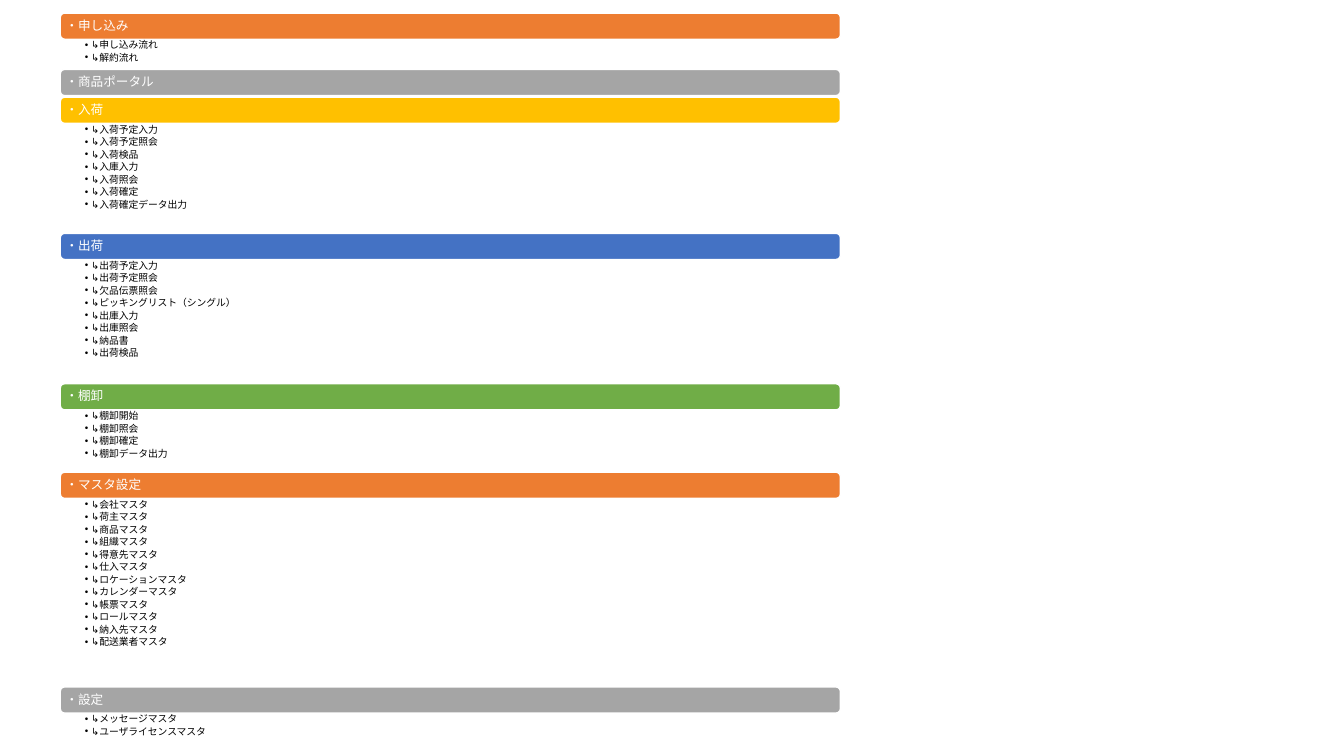
from dataclasses import dataclass
from lxml.etree import SubElement as Sub
from pptx import Presentation
from pptx.dml.color import RGBColor as Rgb
from pptx.enum.shapes import MSO_SHAPE as Kind
from pptx.enum.text import MSO_ANCHOR as Anchor, PP_ALIGN as Align
from pptx.oxml.ns import qn
from pptx.util import Cm, Pt


@dataclass(frozen=True)
class Theme:
    face: str = "Noto Sans CJK JP"
    head: int = 9
    item: int = 7
    line: float = 0.9
    white: str = "FFFFFF"
    black: str = "000000"
    orange: str = "ED7D31"
    gray: str = "A5A5A5"
    gold: str = "FFC000"
    blue: str = "4472C4"
    green: str = "70AD47"


look = Theme()
LEFT, TOP, WIDE, BAR = 1.52, 0.33, 19.66, 0.66

MENU = [
    ("申し込み", look.orange, 0.76, ["申し込み流れ", "解約流れ"]),
    ("商品ポータル", look.gray, 0.04, []),
    ("入荷", look.gold, 2.77, [
        "入荷予定入力", "入荷予定照会", "入荷検品", "入庫入力",
        "入荷照会", "入荷確定", "入荷確定データ出力"]),
    ("出荷", look.blue, 3.13, [
        "出荷予定入力", "出荷予定照会", "欠品伝票照会",
        "ピッキングリスト（シングル）", "出庫入力", "出庫照会",
        "納品書", "出荷検品"]),
    ("棚卸", look.green, 1.57, [
        "棚卸開始", "棚卸照会", "棚卸確定", "棚卸データ出力"]),
    ("マスタ設定", look.orange, 4.75, [
        "会社マスタ", "荷主マスタ", "商品マスタ", "組織マスタ",
        "得意先マスタ", "仕入マスタ", "ロケーションマスタ",
        "カレンダーマスタ", "帳票マスタ", "ロールマスタ",
        "納入先マスタ", "配送業者マスタ"]),
    ("設定", look.gray, 0.76, ["メッセージマスタ", "ユーザライセンスマスタ"]),
]


def inset(frame, left, top, right, base):
    frame.word_wrap = True
    frame.margin_left, frame.margin_top = Cm(left), Cm(top)
    frame.margin_right, frame.margin_bottom = Cm(right), Cm(base)


def write(para, text, size, color):
    para.alignment = Align.LEFT
    para.line_spacing = look.line
    run = para.add_run()
    run.text = text
    font = run.font
    font.size = Pt(size)
    font.color.rgb = Rgb.from_string(color)
    font.name = look.face
    Sub(run._r.get_or_add_rPr(), qn("a:ea"), typeface=look.face)


def bullet(para):
    para.level = 1
    props = para._p.get_or_add_pPr()
    props.set("marL", str(Cm(0.16)))
    props.set("indent", str(-Cm(0.16)))
    after = Sub(props, qn("a:spcAft"))
    Sub(after, qn("a:spcPct"), val="20000")
    Sub(props, qn("a:buFont"), typeface="Arial")
    Sub(props, qn("a:buChar"), char="•")


def add_bar(slide, text, color, left, top, wide, high):
    bar = slide.shapes.add_shape(
        Kind.ROUNDED_RECTANGLE, Cm(left), Cm(top), Cm(wide), Cm(high))
    bar.shadow.inherit = False
    bar.fill.solid()
    bar.fill.fore_color.rgb = Rgb.from_string(color)
    bar.line.color.rgb = Rgb.from_string(look.white)
    bar.line.width = Pt(1)
    frame = bar.text_frame
    inset(frame, 0.1, 0.1, 0.1, 0.1)
    frame.vertical_anchor = Anchor.MIDDLE
    write(frame.paragraphs[0], "・" + text, look.head, look.white)


def add_list(slide, items, left, top, wide, high):
    box = slide.shapes.add_textbox(Cm(left), Cm(top), Cm(wide), Cm(high))
    frame = box.text_frame
    inset(frame, 0.62, 0.03, 0.13, 0.03)
    for spot, item in enumerate(items):
        para = frame.add_paragraph() if spot else frame.paragraphs[0]
        bullet(para)
        write(para, "↳" + item, look.item, look.black)


def add_menu(slide, left, top, wide):
    for name, color, high, items in MENU:
        add_bar(slide, name, color, left, top, wide, BAR)
        top += BAR
        if items:
            add_list(slide, items, left, top, wide, high)
        top += high


def main():
    deck = Presentation()
    deck.slide_width, deck.slide_height = Cm(33.87), Cm(19.05)
    slide = deck.slides.add_slide(deck.slide_layouts[6])
    add_menu(slide, LEFT, TOP, WIDE)
    deck.save("out.pptx")


if __name__ == "__main__":
    main()
